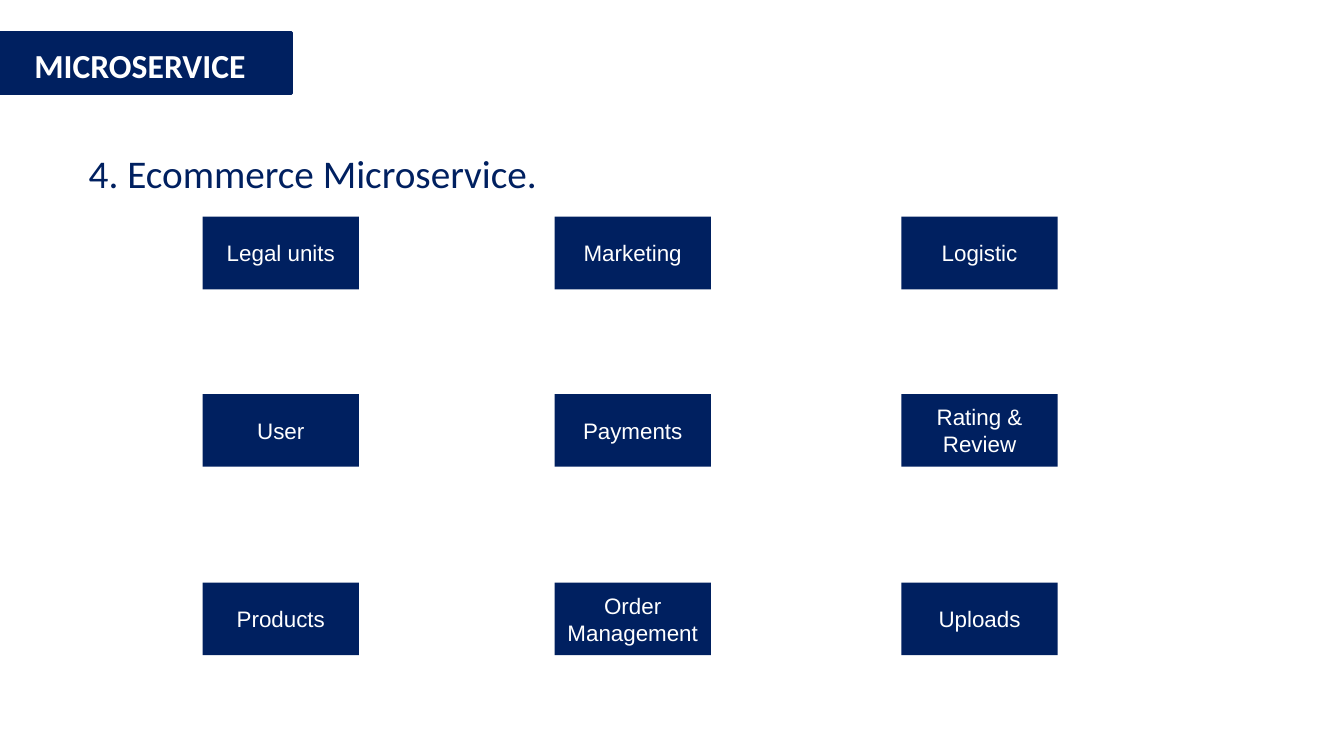
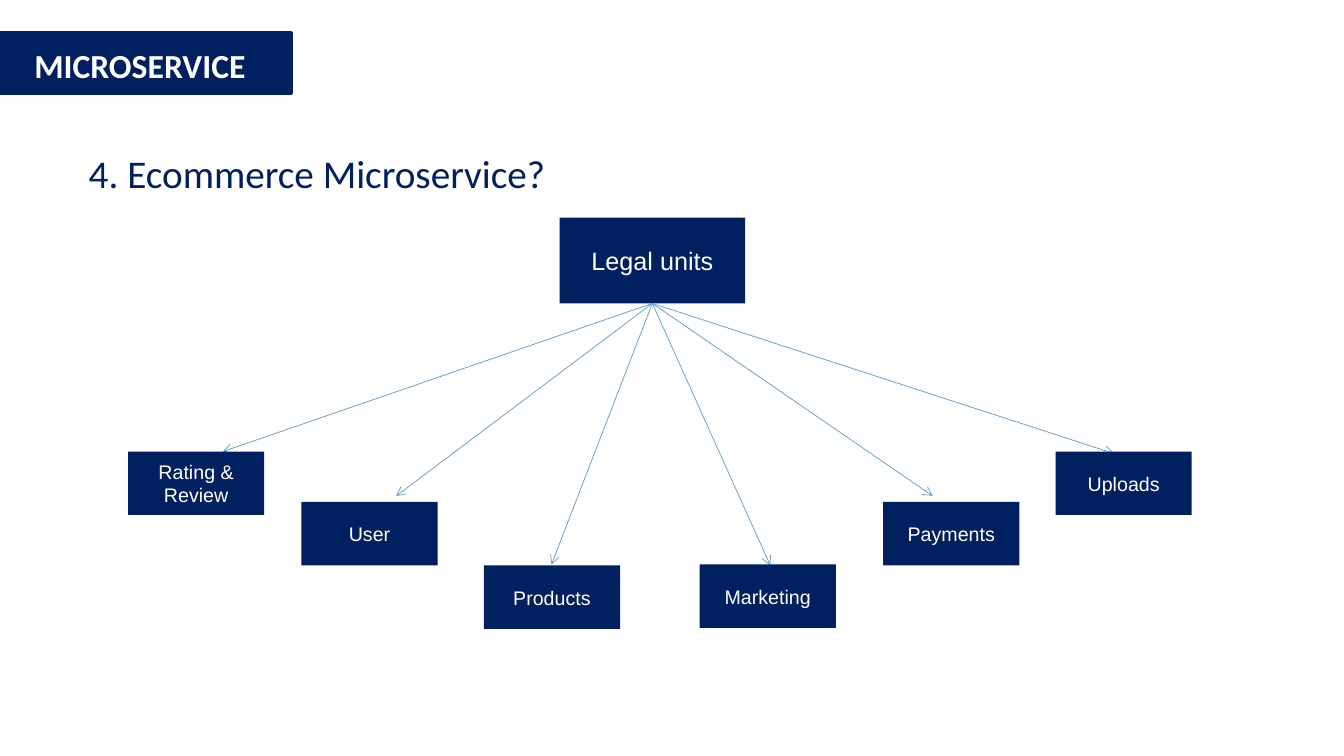
from lxml.etree import SubElement
from pptx import Presentation
from pptx.dml.color import RGBColor
from pptx.enum.shapes import MSO_CONNECTOR, MSO_SHAPE
from pptx.enum.text import MSO_ANCHOR as ANCHOR, MSO_AUTO_SIZE as AUTO, PP_ALIGN as ALIGN
from pptx.oxml.ns import qn
from pptx.util import Inches, Pt

COLORS = {"navy": "002060", "white": "FFFFFF", "arrow": "5B9BD5"}
FONTS = {
    "band": {"name": "Calibri", "size": Pt(24), "bold": True},
    "title": {"name": "Calibri", "size": Pt(28), "bold": False},
    "service": {"name": "Arial", "size": Pt(16)},
    "root": {"name": "Arial", "size": Pt(18)},
    "child": {"name": "Arial", "size": Pt(14)},
}
BAND_BOX = (0.01, 0.32, 2.88, 0.61)
TITLE_BOX = (0.78, 1.2, 4.96, 0.81)

GRID_BOX = (2.01, 2.15)
GRID_COLUMNS = (0, 3.49, 6.93)
GRID_ROWS = (0, 1.76, 3.63)
SERVICE_SIZE = (1.55, 0.72)
SERVICES = (
    ("Legal units", "Marketing", "Logistic"),
    ("User", "Payments", "Rating & Review"),
    ("Products", "Order Management", "Uploads"),
)

TREE_BOX = (1.27, 2.16)
ROOT_BOX = (4.28, 0, 1.84, 0.85)
CHILD_SIZE = (1.35, 0.63)
# Text, left and top of the box, arrow tip; all relative to the tree
CHILDREN = (
    ("Rating & Review", (0, 2.32), (0.94, 2.32)),
    ("User", (1.72, 2.82), (2.66, 2.76)),
    ("Products", (3.53, 3.45), (4.2, 3.44)),
    ("Marketing", (5.67, 3.44), (6.37, 3.45)),
    ("Payments", (7.49, 2.82), (7.98, 2.76)),
    ("Uploads", (9.2, 2.32), (9.78, 2.34)),
)


def rgb(color):
    return RGBColor.from_string(COLORS[color])


def inches(values):
    return [Inches(v) for v in values]


def write(tf, text, style, color, align):
    p = tf.paragraphs[0]
    p.alignment = align
    r = p.add_run()
    r.text = text
    for name, value in FONTS[style].items():
        setattr(r.font, name, value)
    r.font.color.rgb = rgb(color)
    return p


def add_box(slide, box, text, style, align=ALIGN.CENTER):
    s = slide.shapes.add_shape(MSO_SHAPE.RECTANGLE, *inches(box))
    s.shadow.inherit = False
    s.fill.solid()
    s.fill.fore_color.rgb = rgb("navy")
    s.line.fill.background()
    tf = s.text_frame
    tf.word_wrap = True
    tf.vertical_anchor = ANCHOR.MIDDLE
    write(tf, text, style, "white", align)
    return s


def add_arrow(slide, start, end):
    c = slide.shapes.add_connector(MSO_CONNECTOR.STRAIGHT, *inches(start + end))
    c.line.color.rgb = rgb("arrow")
    c.line.width = Pt(0.5)
    SubElement(c.line._get_or_add_ln(), qn("a:tailEnd"), type="arrow")
    SubElement(c._element.spPr, qn("a:effectLst"))


def add_band(slide):
    band = add_box(slide, BAND_BOX, "MICROSERVICE", "band", ALIGN.LEFT)
    band.line.color.rgb = rgb("navy")
    band.line.width = Pt(2.25)
    tf = band.text_frame
    tf.vertical_anchor = ANCHOR.TOP
    tf.margin_left, tf.margin_top = Inches(0.33), Inches(0.13)


def add_titled_slide(prs, title):
    slide = prs.slides.add_slide(prs.slide_layouts[5])
    add_band(slide)
    sp = slide.shapes.title
    sp.left, sp.top, sp.width, sp.height = inches(TITLE_BOX)
    tf = sp.text_frame
    tf.word_wrap = True
    tf.auto_size = AUTO.NONE
    tf.vertical_anchor = ANCHOR.TOP
    write(tf, title, "title", "navy", ALIGN.LEFT).line_spacing = 1.5
    return slide


def add_service_grid(slide, left, top):
    for dy, row in zip(GRID_ROWS, SERVICES):
        for dx, service in zip(GRID_COLUMNS, row):
            add_box(slide, (left + dx, top + dy, *SERVICE_SIZE), service, "service")


def add_service_tree(slide, left, top):
    dx, dy, width, height = ROOT_BOX
    add_box(slide, (left + dx, top + dy, width, height), "Legal units", "root")
    start = (left + dx + width / 2, top + dy + height)
    for _, _, (tip_x, tip_y) in CHILDREN:
        add_arrow(slide, start, (left + tip_x, top + tip_y))
    for text, (x, y), _ in CHILDREN:
        add_box(slide, (left + x, top + y, *CHILD_SIZE), text, "child")


def main():
    prs = Presentation()
    prs.slide_width, prs.slide_height = Inches(13.33), Inches(7.5)
    add_service_grid(add_titled_slide(prs, "4. Ecommerce Microservice."), *GRID_BOX)
    add_service_tree(add_titled_slide(prs, "4. Ecommerce Microservice?"), *TREE_BOX)
    prs.save("out.pptx")


if __name__ == "__main__":
    main()
